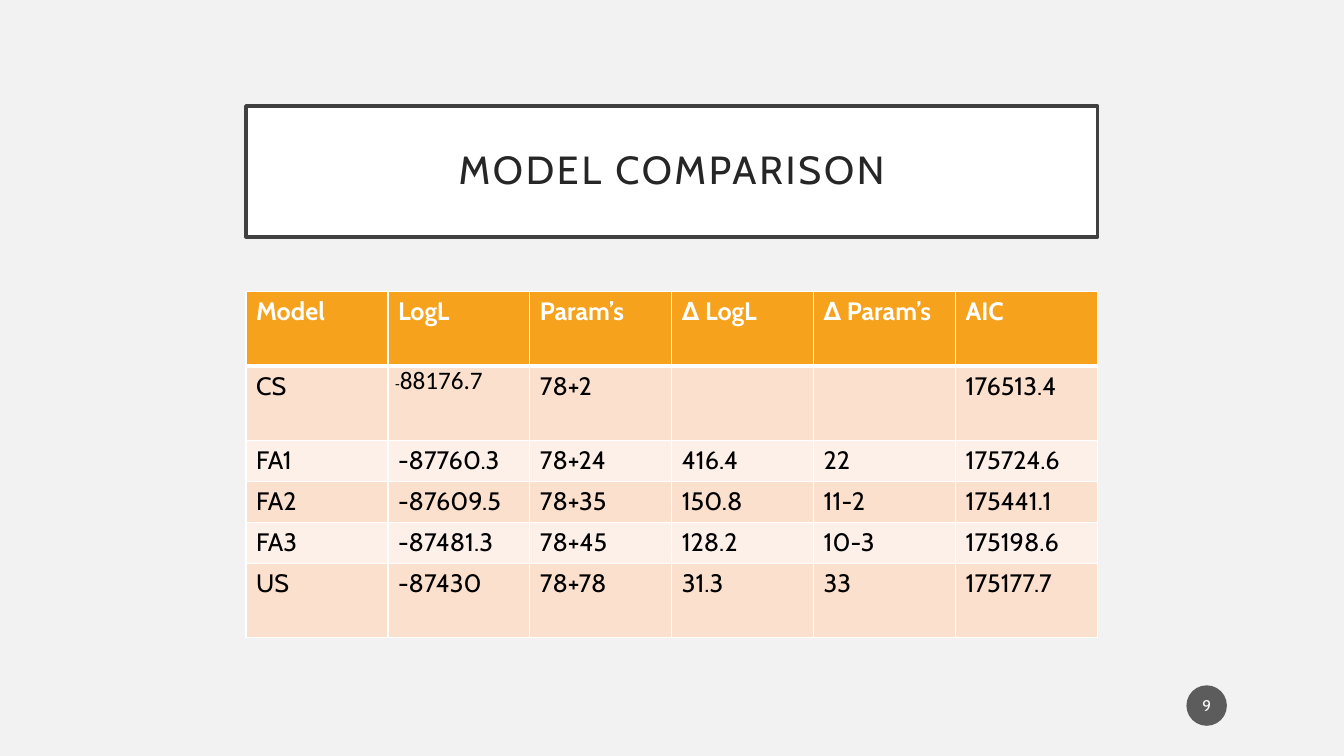
import dataclasses

import lxml.etree
import pptx
import pptx.dml.color
import pptx.enum.shapes
import pptx.enum.text
import pptx.oxml.ns
import pptx.util

Cm = pptx.util.Cm
Pt = pptx.util.Pt
Align = pptx.enum.text.PP_ALIGN
Anchor = pptx.enum.text.MSO_ANCHOR
Preset = pptx.enum.shapes.MSO_SHAPE


@dataclasses.dataclass(frozen=True)
class Theme:
    background: str = "F2F2F2"
    white: str = "FFFFFF"
    frame: str = "404040"
    title: str = "262626"
    body: str = "000000"
    header: str = "F6A21D"
    bands: tuple = ("FBE0CD", "FDF0E8")
    badge: str = "1D1D1D"
    font: str = "Cabin"
    number_font: str = "Calibri"
    title_size: int = 28
    table_size: int = 18
    small_size: int = 11


THEME = Theme()

HEADINGS = ["Model", "LogL", "Param’s", "∆ LogL", "∆ Param’s", "AIC"]
MODELS = [
    ["CS", "-88176.7", "78+2", "", "", "176513.4"],
    ["FA1", "-87760.3", "78+24", "416.4", "22", "175724.6"],
    ["FA2", "-87609.5", "78+35", "150.8", "11-2", "175441.1"],
    ["FA3", "-87481.3", "78+45", "128.2", "10-3", "175198.6"],
    ["US", "-87430", "78+78", "31.3", "33", "175177.7"],
]
ROW_HEIGHTS = [1.88, 1.88, 1.03, 1.03, 1.03, 1.88]


def rgb(color):
    return pptx.dml.color.RGBColor.from_string(color)


def paint(target, color):
    target.fill.solid()
    target.fill.fore_color.rgb = rgb(color)


def write(paragraph, text, size=THEME.table_size, color=THEME.body,
          font=THEME.font, bold=False, align=Align.LEFT, spacing=None):
    paragraph.alignment = align
    run = paragraph.add_run()
    run.text = text
    run.font.size = Pt(size)
    run.font.name = font
    run.font.bold = bold
    run.font.color.rgb = rgb(color)
    if spacing:
        run.font._element.set("spc", str(spacing * 100))


def add_panel(slide, preset, box, color, horizontal, vertical):
    shape = slide.shapes.add_shape(preset, *map(Cm, box))
    shape.shadow.inherit = False
    paint(shape, color)
    frame = shape.text_frame
    frame.word_wrap = True
    frame.vertical_anchor = Anchor.MIDDLE
    frame.margin_left = frame.margin_right = Cm(horizontal)
    frame.margin_top = frame.margin_bottom = Cm(vertical)
    return shape


def add_title(slide, box):
    shape = add_panel(slide, Preset.RECTANGLE, box, THEME.white, 0.5, 0.5)
    shape.line.color.rgb = rgb(THEME.frame)
    shape.line.width = Pt(2.5)
    paragraph = shape.text_frame.paragraphs[0]
    paragraph.line_spacing = 0.9
    write(paragraph, "MODEL COMPARISON", size=THEME.title_size,
          color=THEME.title, align=Align.CENTER, spacing=2)


def set_borders(cell, top, bottom):
    properties = cell._tc.get_or_add_tcPr()
    widths = {"a:lnL": 1, "a:lnR": 1, "a:lnT": top, "a:lnB": bottom}
    for index, (tag, width) in enumerate(widths.items()):
        line = lxml.etree.Element(pptx.oxml.ns.qn(tag), w=str(Pt(width)))
        fill = lxml.etree.SubElement(line, pptx.oxml.ns.qn("a:solidFill"))
        lxml.etree.SubElement(fill, pptx.oxml.ns.qn("a:srgbClr"), val=THEME.white)
        properties.insert(index, line)


def write_first_likelihood(cell, text):
    cell.margin_left = cell.margin_right = Cm(0.18)
    cell.margin_top = cell.margin_bottom = 0
    paragraph = cell.text_frame.paragraphs[0]
    write(paragraph, text[0], size=THEME.small_size, font=THEME.number_font)
    write(paragraph, text[1:], font=THEME.number_font)


def add_comparison(slide, box):
    rows = [HEADINGS] + MODELS
    table = slide.shapes.add_table(len(rows), len(HEADINGS), *map(Cm, box)).table
    table.horz_banding = False
    for column in table.columns:
        column.width = Cm(box[2] / len(HEADINGS))
    for row_index, values in enumerate(rows):
        table.rows[row_index].height = Cm(ROW_HEIGHTS[row_index])
        is_header = row_index == 0
        for column_index, text in enumerate(values):
            cell = table.cell(row_index, column_index)
            paint(cell, THEME.header if is_header else THEME.bands[(row_index - 1) % 2])
            set_borders(cell, top=3 if row_index == 1 else 1,
                        bottom=3 if is_header else 1)
            if (row_index, column_index) == (1, 1):
                write_first_likelihood(cell, text)
            elif text:
                write(cell.text_frame.paragraphs[0], text, bold=is_header,
                      color=THEME.white if is_header else THEME.body)


def add_page_number(slide, box):
    shape = add_panel(slide, Preset.OVAL, box, THEME.badge, 0.05, 0.13)
    shape.line.fill.background()
    color = shape._element.spPr.find(".//" + pptx.oxml.ns.qn("a:srgbClr"))
    lxml.etree.SubElement(color, pptx.oxml.ns.qn("a:alpha"), val="70000")
    write(shape.text_frame.paragraphs[0], "9", size=THEME.small_size,
          color=THEME.white, align=Align.CENTER)


def build_slide(presentation):
    slide = presentation.slides.add_slide(presentation.slide_layouts[6])
    paint(slide.background, THEME.background)
    add_title(slide, (6.2, 2.67, 21.46, 3.3))
    add_comparison(slide, (6.2, 7.34, 21.46, sum(ROW_HEIGHTS)))
    add_page_number(slide, (29.9, 17.27, 1.02, 1.02))


presentation = pptx.Presentation()
presentation.slide_width = Cm(33.87)
presentation.slide_height = Cm(19.05)
build_slide(presentation)
presentation.save("out.pptx")
